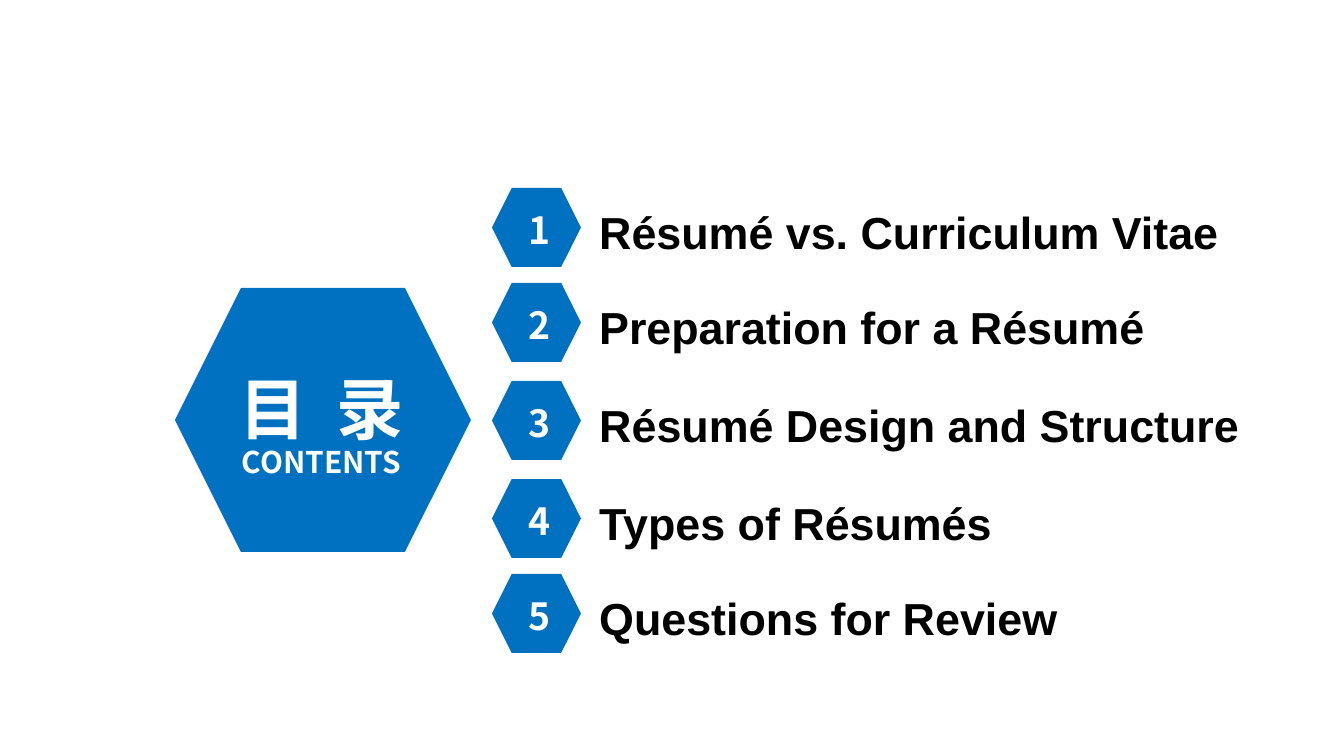
import pptx
import pptx.util
import pptx.dml.color
import pptx.enum.shapes
import pptx.enum.text
import lxml.etree

PX = 914400 / 134.4
BLUE = "0070C0"
HEADING_FONT = "Noto Sans CJK SC"
ANCHOR = pptx.enum.text.MSO_ANCHOR
ALIGN = pptx.enum.text.PP_ALIGN
SHAPES = pptx.enum.shapes.MSO_SHAPE


def add_blue_shape(shapes, kind, *place):
    shape = shapes.add_shape(kind, *[round(length * PX) for length in place])
    shape.shadow.inherit = False
    shape.fill.solid()
    shape.fill.fore_color.rgb = pptx.dml.color.RGBColor.from_string(BLUE)
    shape.line.fill.background()
    return shape


def format_para(para, size, color, font, align, spacing=None):
    para.alignment = align
    if spacing:
        para.line_spacing = pptx.util.Pt(spacing)
    for span in para.runs:
        span.font.size = pptx.util.Pt(size)
        span.font.bold = True
        span.font.name = font
        span.font.color.rgb = pptx.dml.color.RGBColor.from_string(color)
        latin = span.font._element.find(pptx.oxml.ns.qn("a:latin"))
        east_asian = lxml.etree.Element(pptx.oxml.ns.qn("a:ea"), typeface=font)
        latin.addnext(east_asian)


deck = pptx.Presentation()
deck.slide_width = round(1344 * PX)
deck.slide_height = round(756 * PX)
page = deck.slides.add_slide(deck.slide_layouts[5])

heading_hexagon = add_blue_shape(page.shapes, SHAPES.HEXAGON, 175, 288, 296, 264)
title = page.shapes.title
title.left, title.top, title.width, title.height = [
    round(length * PX) for length in (205, 355, 233, 132)
]
heading_hexagon.element.addnext(title.element)
frame = title.text_frame
frame.text = "目  录\nCONTENTS"
frame.word_wrap = True
frame.auto_size = pptx.enum.text.MSO_AUTO_SIZE.NONE
frame.vertical_anchor = ANCHOR.TOP
for para, size, spacing in zip(frame.paragraphs, (36, 16), (46, 17)):
    format_para(para, size, "FFFFFF", HEADING_FONT, ALIGN.CENTER, spacing)

topics = [
    ("Résumé vs. Curriculum Vitae", 188, 690),
    ("Preparation for a Résumé", 283, 690),
    ("Résumé Design and Structure", 381, 700),
    ("Types of Résumés", 479, 663),
    ("Questions for Review", 574, 700),
]
for number, (topic, top, width) in enumerate(topics, 1):
    badge = page.shapes.add_group_shape()
    add_blue_shape(badge.shapes, SHAPES.HEXAGON, 492, top, 89, 79)
    label = add_blue_shape(badge.shapes, SHAPES.RECTANGLE, 515, top + 10, 42, 59)
    label.text_frame.text = str(number)
    label.text_frame.word_wrap = True
    label.text_frame.vertical_anchor = ANCHOR.TOP
    format_para(label.text_frame.paragraphs[0], 20, "FFFFFF", HEADING_FONT, ALIGN.CENTER, 25.5)

    box = page.shapes.add_textbox(
        *[round(length * PX) for length in (586, top + 10, width, 67)]
    )
    box.text_frame.text = topic
    box.text_frame.word_wrap = True
    box.text_frame.vertical_anchor = ANCHOR.BOTTOM
    format_para(box.text_frame.paragraphs[0], 24, "000000", "Arial", ALIGN.LEFT)

deck.save("out.pptx")
